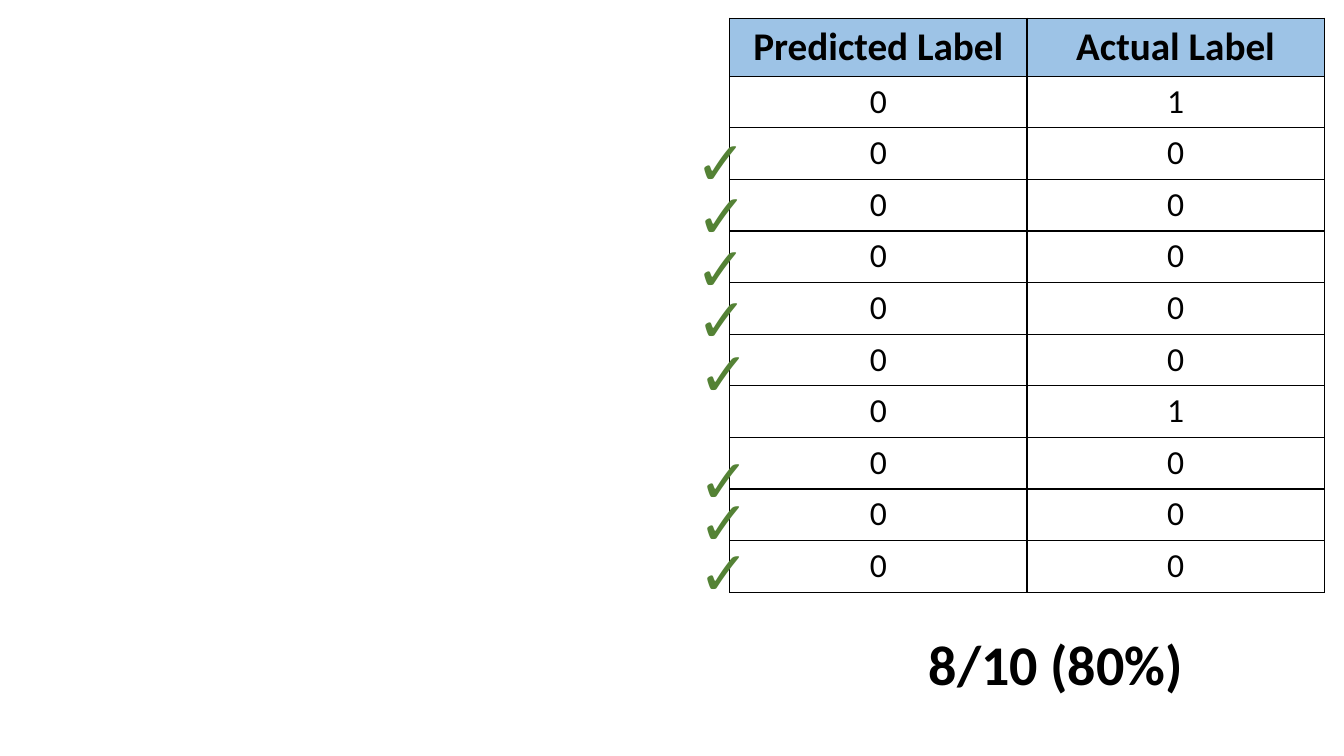
"""Build a slide that checks predicted labels against actual ones."""
import lxml.etree
import pptx
import pptx.dml.color
import pptx.enum.text
import pptx.oxml.ns
import pptx.util

Cm = pptx.util.Cm
FONT = "Calibri"
BLACK, BLUE, GREEN = "000000", "9DC3E6", "548235"
HEADS = ("Predicted Label", "Actual Label")
PAIRS = [("0", label) for label in "1000001000"]
TICKS = [(17.27, 3), (17.3, 4.34), (17.27, 5.66), (17.3, 6.96),
         (17.35, 8.31), (17.35, 11), (17.35, 12.07), (17.35, 13.34)]


def color(code):
    """Turn a hex string into a colour."""
    return pptx.dml.color.RGBColor.from_string(code)


def write(frame, text, size, code, bold):
    """Add one formatted run to the first paragraph and return the paragraph."""
    para = frame.paragraphs[0]
    run = para.add_run()
    run.text = text
    run.font.name = FONT
    run.font.size = pptx.util.Pt(size)
    run.font.bold = bold
    run.font.color.rgb = color(code)
    return para


def border(cell, code):
    """Draw a one point line on each side of a cell."""
    props = cell._tc.get_or_add_tcPr()
    name = pptx.oxml.ns.qn
    for side in "LRTB":
        line = lxml.etree.SubElement(props, name(f"a:ln{side}"), w="12700")
        fill = lxml.etree.SubElement(line, name("a:solidFill"))
        lxml.etree.SubElement(fill, name("a:srgbClr"), val=code)


def fill_cell(cell, text, head):
    """Write, frame and fill one table cell."""
    para = write(cell.text_frame, text, 28 if head else 24, BLACK, head)
    para.alignment = pptx.enum.text.PP_ALIGN.CENTER
    border(cell, BLACK)
    if head:
        cell.fill.solid()
        cell.fill.fore_color.rgb = color(BLUE)
    else:
        cell.fill.background()


def add_grid(slide):
    """Add the table of labels."""
    rows = [HEADS] + PAIRS
    frame = slide.shapes.add_table(len(rows), len(HEADS), Cm(18.39), Cm(0.46),
                                   Cm(14.98), Cm(1.3 * len(rows)))
    table = frame.table
    table.horz_banding = False
    for col in table.columns:
        col.width = Cm(7.49)
    for i, row in enumerate(rows):
        table.rows[i].height = Cm(1.3)
        for j, text in enumerate(row):
            fill_cell(table.cell(i, j), text, i == 0)


def add_text(slide, text, place, size, code, wrap):
    """Add a bold text box that grows with its text."""
    box = slide.shapes.add_textbox(*map(Cm, place))
    frame = box.text_frame
    frame.word_wrap = wrap
    frame.auto_size = pptx.enum.text.MSO_AUTO_SIZE.SHAPE_TO_FIT_TEXT
    write(frame, text, size, code, True)


def main():
    """Build and save the slide."""
    deck = pptx.Presentation()
    deck.slide_width, deck.slide_height = Cm(33.87), Cm(19.05)
    slide = deck.slides.add_slide(deck.slide_layouts[6])
    add_grid(slide)
    for left, top in TICKS:
        add_text(slide, "✓", (left, top, 1.14, 2.13), 44, GREEN, True)
    add_text(slide, "8/10 (80%)", (23.16, 15.75, 6.99, 1.96), 40, BLACK, False)
    deck.save("out.pptx")


if __name__ == "__main__":
    main()
